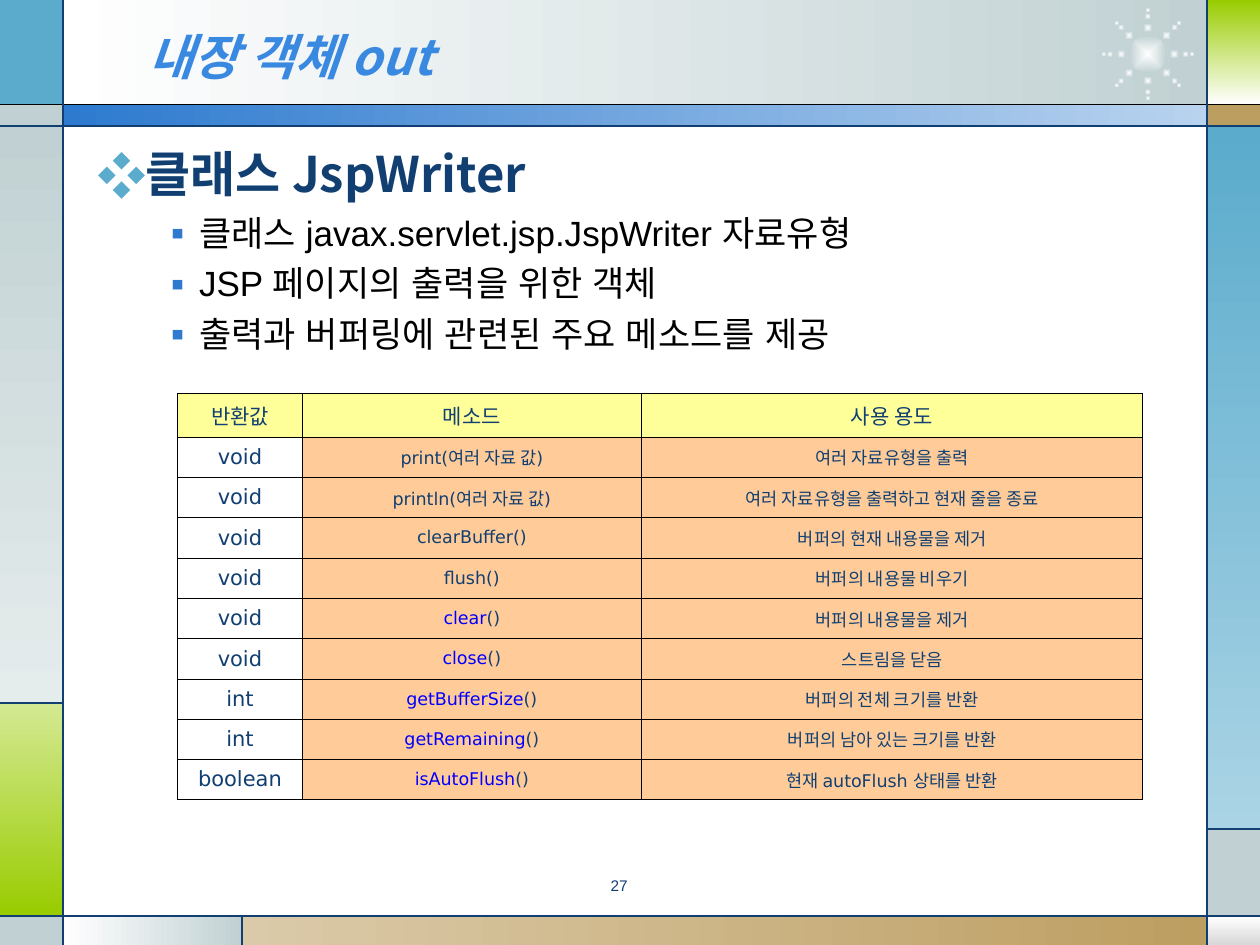
"""Build the slide on the JSP built-in object out and its JspWriter methods."""
import math

from lxml import etree
from pptx import Presentation
from pptx import util as u
from pptx.dml.color import RGBColor
from pptx.enum import shapes, text
from pptx.oxml import parse_xml
from pptx.oxml.ns import nsdecls, qn

WIDTH, HEIGHT = 10, 7.5
KOREAN = "Noto Sans CJK KR"
NAVY, LINK, SKY, BLUE, MIST, SAND, LIME = (
    "113F71", "0000FF", "5AABCC", "2D7ACF", "C1D1D3", "BD9E61", "99CC00")
HEADER_FILL, CELL_FILL = "FFFF99", "FFCC99"

TITLE = "내장 객체 out"
HEADING = "클래스 JspWriter"
POINTS = [
    "클래스 javax.servlet.jsp.JspWriter 자료유형",
    "JSP 페이지의 출력을 위한 객체",
    "출력과 버퍼링에 관련된 주요 메소드를 제공",
]
HEADERS = ["반환값", "메소드", "사용 용도"]
PLAIN_METHODS = [
    ("void", "print", "(여러 자료 값)", "여러 자료유형을 출력"),
    ("void", "println", "(여러 자료 값)", "여러 자료유형을 출력하고 현재 줄을 종료"),
    ("void", "clearBuffer", "()", "버퍼의 현재 내용물을 제거"),
    ("void", "flush", "()", "버퍼의 내용물 비우기"),
]
LINKED_METHODS = [
    ("void", "clear", "()", "버퍼의 내용물을 제거"),
    ("void", "close", "()", "스트림을 닫음"),
    ("int", "getBufferSize", "()", "버퍼의 전체 크기를 반환"),
    ("int", "getRemaining", "()", "버퍼의 남아 있는 크기를 반환"),
    ("boolean", "isAutoFlush", "()", "현재 autoFlush 상태를 반환"),
]
COLUMN_WIDTHS = [0.99, 2.69, 3.98]
HEADER_HEIGHT, ROW_HEIGHT = 0.35, 0.32

LEFT, RIGHT, TOP, BAND, BOTTOM = 0.5, 9.58, 0.83, 1, 7.27
GREEN_TOP, GREY_TOP, SAND_LEFT = 5.58, 6.58, 1.92
ACROSS, DOWN = 0, 270
PANELS = [
    (LEFT, 0, RIGHT, TOP, ("FFFFFF", MIST), ACROSS),
    (0, 0, LEFT, TOP, (SKY,), None),
    (0, TOP, LEFT, BAND, (MIST,), None),
    (0, BAND, LEFT, GREEN_TOP, (MIST, "E5ECEC"), DOWN),
    (0, GREEN_TOP, LEFT, BOTTOM, ("D4E993", LIME), DOWN),
    (0, BOTTOM, LEFT, HEIGHT, (MIST,), None),
    (LEFT, BOTTOM, SAND_LEFT, HEIGHT, ("FFFFFF", MIST), ACROSS),
    (SAND_LEFT, BOTTOM, RIGHT, HEIGHT, ("DBCAA9", SAND), ACROSS),
    (RIGHT, BOTTOM, WIDTH, HEIGHT, ("FFFFFF", "D8D8D8"), DOWN),
    (RIGHT, GREY_TOP, WIDTH, BOTTOM, (MIST,), None),
    (RIGHT, BAND, WIDTH, GREY_TOP, (SKY, "AAD4E5"), DOWN),
    (RIGHT, TOP, WIDTH, BAND, (SAND,), None),
    (RIGHT, 0, WIDTH, TOP, (LIME, "FFFFFF"), DOWN),
    (LEFT, TOP, RIGHT, BAND, (BLUE, "B9D3EF"), ACROSS),
]
RULES = [
    (0, TOP, WIDTH, TOP, "000000"),
    (0, BAND, WIDTH, BAND, NAVY),
    (0, BOTTOM, WIDTH, BOTTOM, NAVY),
    (LEFT, 0, LEFT, HEIGHT, NAVY),
    (RIGHT, 0, RIGHT, HEIGHT, NAVY),
    (LEFT, GREEN_TOP, 0, GREEN_TOP, NAVY),
    (SAND_LEFT, BOTTOM, SAND_LEFT, HEIGHT, NAVY),
    (RIGHT, GREY_TOP, WIDTH, GREY_TOP, NAVY),
]
SUN_X, SUN_Y, SUN_SIZE, SUN_ARMS = 9.11, 0.43, 0.3, 8
SUN_DOTS = [(0.21, 0.07), (0.3, 0.05), (0.35, 0.04)]


def color(value):
    return RGBColor.from_string(value)


def place(shape, *lengths):
    shape.left, shape.top, shape.width, shape.height = map(u.Inches, lengths)


def style(span, size, face, tint, east=None, **flags):
    font = span.font
    font.size, font.name = u.Pt(size), face
    font.color.rgb = color(tint)
    font.bold, font.italic = flags.get("bold", False), flags.get("italic", False)
    span.font.fill  # keeps the fill ahead of the typefaces
    latin = font._element.find(qn("a:latin"))
    east_face = etree.Element(qn("a:ea"), typeface=east or face)
    latin.addnext(east_face)


def add_filled(page, kind, box, tints, angle=None):
    shape = page.shapes.add_shape(kind, *map(u.Inches, box))
    shape.shadow.inherit = False
    shape.line.fill.background()
    if len(tints) == 1:
        shape.fill.solid()
        shape.fill.fore_color.rgb = color(tints[0])
        return shape
    shape.fill.gradient()
    if angle is not None:
        shape.fill.gradient_angle = angle
    for stop, tint, position in zip(shape.fill.gradient_stops, tints, (0, 1)):
        stop.color.rgb, stop.position = color(tint), position
    return shape


def add_glow(page, x, y, size):
    box = (x - size / 2, y - size / 2, size, size)
    dot = add_filled(page, shapes.MSO_SHAPE.OVAL, box, ("FFFFFF", MIST))
    linear = next(dot.element.iter(qn("a:lin")))
    linear.getparent().replace(linear, parse_xml(
        f'<a:path {nsdecls("a")} path="rect">'
        '<a:fillToRect l="50000" t="50000" r="50000" b="50000"/></a:path>'))


def add_frame(page):
    for left, top, right, bottom, tints, angle in PANELS:
        box = (left, top, right - left, bottom - top)
        add_filled(page, shapes.MSO_SHAPE.RECTANGLE, box, tints, angle)
    add_glow(page, SUN_X, SUN_Y, SUN_SIZE)
    for arm in range(SUN_ARMS):
        turn = math.tau * arm / SUN_ARMS
        for radius, size in SUN_DOTS:
            add_glow(page, SUN_X + radius * math.cos(turn),
                     SUN_Y + radius * math.sin(turn), size)
    for *ends, tint in RULES:
        rule = page.shapes.add_connector(
            shapes.MSO_CONNECTOR.STRAIGHT, *map(u.Inches, ends))
        rule.line.color.rgb, rule.line.width = color(tint), u.Pt(0.75)
        etree.SubElement(rule.element.spPr, qn("a:effectLst"))


def set_bullet(para, mark, tint, margin, indent):
    props = para._p.get_or_add_pPr()
    props.set("marL", str(u.Inches(margin)))
    props.set("indent", str(u.Inches(indent)))
    tone = etree.SubElement(props, qn("a:buClr"))
    etree.SubElement(tone, qn("a:srgbClr"), val=tint)
    etree.SubElement(props, qn("a:buFont"), typeface=KOREAN)
    etree.SubElement(props, qn("a:buChar"), char=mark)


def fill_texts(page):
    title, body = page.shapes.title, page.placeholders[1]
    for holder in (title, body):
        holder.element.getparent().append(holder.element)
    place(title, 1.08, 0.13, 7.33, 0.62)
    title.text_frame.text = TITLE
    title.text_frame.auto_size = text.MSO_AUTO_SIZE.NONE
    title.text_frame.vertical_anchor = text.MSO_ANCHOR.MIDDLE
    para = title.text_frame.paragraphs[0]
    para.alignment = text.PP_ALIGN.LEFT
    style(para.runs[0], 28, KOREAN, "3989E1", bold=True, italic=True)

    place(body, 0.67, 1.09, 8.77, 5.63)
    body.text_frame.text = "\n".join([HEADING, *POINTS])
    body.text_frame.auto_size = text.MSO_AUTO_SIZE.NONE
    heading, *points = body.text_frame.paragraphs
    set_bullet(heading, "❖", SKY, 0.38, -0.38)
    heading.space_before = u.Pt(0)
    style(heading.runs[0], 28, KOREAN, NAVY, bold=True)
    for para in points:
        para.level = 1
        set_bullet(para, "▪", BLUE, 0.81, -0.31)
        para.space_before = u.Pt(5)
        style(para.runs[0], 20, "Arial", "000000")

    number = page.shapes.add_textbox(*map(u.Inches, (3.75, 6.93, 2.33, 0.27)))
    number.text_frame.word_wrap = True
    number.text_frame.text = "27"
    para = number.text_frame.paragraphs[0]
    para.alignment, para.line_spacing = text.PP_ALIGN.CENTER, 0.8
    style(para.runs[0], 8.8, "Arial", NAVY)


def set_cell(cell, spans, size, fill):
    props = cell._tc.get_or_add_tcPr()
    for side in "LRTB":
        props.append(parse_xml(
            f'<a:ln{side} {nsdecls("a")} w="{u.Pt(0.45)}"><a:solidFill>'
            f'<a:srgbClr val="000000"/></a:solidFill></a:ln{side}>'))
    if fill:
        cell.fill.solid()
        cell.fill.fore_color.rgb = color(fill)
    else:
        cell.fill.background()
    cell.margin_left = cell.margin_right = u.Inches(0.07)
    cell.margin_top = cell.margin_bottom = u.Inches(0.05)
    cell.vertical_anchor = text.MSO_ANCHOR.MIDDLE
    para = cell.text_frame.paragraphs[0]
    para.alignment = text.PP_ALIGN.CENTER
    for words, tint in spans:
        span = para.add_run()
        span.text = words
        style(span, size, "DejaVu Sans", tint, KOREAN)


def add_methods(page):
    methods = PLAIN_METHODS + LINKED_METHODS
    height = HEADER_HEIGHT + ROW_HEIGHT * len(methods)
    table = page.shapes.add_table(
        len(methods) + 1, len(HEADERS),
        *map(u.Inches, (1.41, 3.12, sum(COLUMN_WIDTHS), height))).table
    table.first_row = table.horz_banding = False
    for column, width in zip(table.columns, COLUMN_WIDTHS):
        column.width = u.Inches(width)
    for row in table.rows:
        row.height = u.Inches(ROW_HEIGHT)
    table.rows[0].height = u.Inches(HEADER_HEIGHT)
    for index, words in enumerate(HEADERS):
        set_cell(table.cell(0, index), [(words, NAVY)], 12, HEADER_FILL)
    for index, method in enumerate(methods, 1):
        kind, name, arguments, usage = method
        call = ([(name, LINK), (arguments, NAVY)] if method in LINKED_METHODS
                else [(name + arguments, NAVY)])
        set_cell(table.cell(index, 0), [(kind, NAVY)], 12, None)
        set_cell(table.cell(index, 1), call, 10, CELL_FILL)
        set_cell(table.cell(index, 2), [(usage, NAVY)], 10, CELL_FILL)


def main():
    deck = Presentation()
    deck.slide_width, deck.slide_height = u.Inches(WIDTH), u.Inches(HEIGHT)
    page = deck.slides.add_slide(deck.slide_layouts[1])
    add_frame(page)
    fill_texts(page)
    add_methods(page)
    deck.save("out.pptx")


if __name__ == "__main__":
    main()
